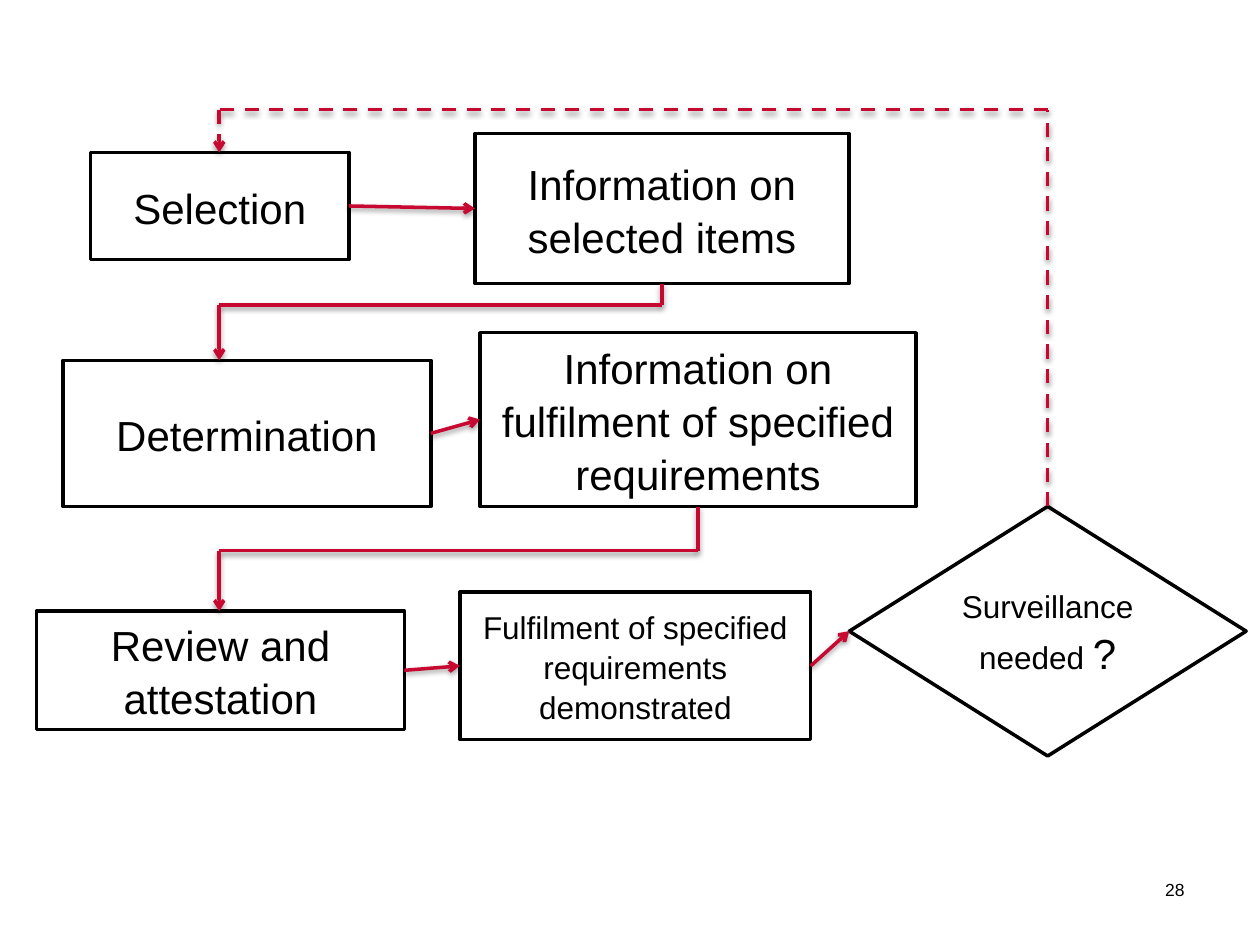
from lxml import etree
from pptx import Presentation
from pptx.dml.color import RGBColor
from pptx.enum.dml import MSO_LINE
from pptx.enum.shapes import MSO_CONNECTOR, MSO_SHAPE
from pptx.enum.text import MSO_ANCHOR, PP_ALIGN
from pptx.oxml.ns import qn
from pptx.util import Pt

RECTANGLE = MSO_SHAPE.RECTANGLE
DECISION = MSO_SHAPE.FLOWCHART_DECISION
STRAIGHT = MSO_CONNECTOR.STRAIGHT
DASH = MSO_LINE.DASH
MIDDLE = MSO_ANCHOR.MIDDLE
CENTER, RIGHT = PP_ALIGN.CENTER, PP_ALIGN.RIGHT

COLORS = {"ink": "000000", "paper": "FFFFFF", "flow": "C70932"}
FONT = "Arial"
LEFT_SITE, RIGHT_SITE = 1, 3
RETURN_X = 125.3

STEPS = {
    "selection": (RECTANGLE, (51.8, 87.1, 147.6, 61.2), [("Selection", 24)]),
    "items": (RECTANGLE, (271.4, 76.3, 213.8, 85.7),
              [("Information on selected items", 24)]),
    "fulfilment": (RECTANGLE, (274.3, 190.1, 249.1, 99.4),
                   [("Information on fulfilment of specified requirements", 24)]),
    "determination": (RECTANGLE, (36, 205.9, 210.2, 83.5), [("Determination", 24)]),
    "review": (RECTANGLE, (20.9, 349.2, 210.2, 67.7), [("Review and attestation", 24)]),
    "demonstrated": (RECTANGLE, (262.8, 338.4, 200.5, 84.2),
                     [("Fulfilment of specified requirements demonstrated", 18)]),
    "surveillance": (DECISION, (485.3, 289.4, 226.8, 142.6),
                     [("Surveillance needed ", 18), ("?", 24)]),
}
LINKS = [
    ("selection", "items"),
    ("determination", "fulfilment"),
    ("review", "demonstrated"),
    ("demonstrated", "surveillance"),
]


def color(name):
    """Return the RGB colour with the given palette name."""
    return RGBColor.from_string(COLORS[name])


def write(frame, runs, align, spacing=1.0):
    """Fill a text frame with one paragraph, run by run."""
    frame.word_wrap = True
    frame.vertical_anchor = MIDDLE
    paragraph = frame.paragraphs[0]
    paragraph.alignment = align
    paragraph.line_spacing = spacing
    for words, size in runs:
        run = paragraph.add_run()
        run.text = words
        run.font.name = FONT
        run.font.size = Pt(size)
        run.font.color.rgb = color("ink")


def add_step(slide, outline, bounds, runs):
    """Add one outlined step of the process."""
    step = slide.shapes.add_shape(outline, *map(Pt, bounds))
    step.shadow.inherit = False
    step.fill.solid()
    step.fill.fore_color.rgb = color("paper")
    step.line.color.rgb = color("ink")
    step.line.width = Pt(2)
    write(step.text_frame, runs, CENTER, 1.05)
    return step


def add_shadow(connector):
    """Give a connector a soft shadow straight below it."""
    effects = etree.SubElement(connector._element.spPr, qn("a:effectLst"))
    shadow = etree.SubElement(
        effects, qn("a:outerShdw"), blurRad=str(Pt(3.1)), dist=str(Pt(1.6)),
        dir="5400000", rotWithShape="0")
    tint = etree.SubElement(shadow, qn("a:srgbClr"), val=COLORS["ink"])
    etree.SubElement(tint, qn("a:alpha"), val="38000")


def add_flow(slide, start, end, arrow=True, dashed=False):
    """Add one straight flow line between two points."""
    flow = slide.shapes.add_connector(STRAIGHT, *map(Pt, (*start, *end)))
    flow.line.color.rgb = color("flow")
    flow.line.width = Pt(2)
    if dashed:
        flow.line.dash_style = DASH
    if arrow:
        etree.SubElement(flow.line._get_or_add_ln(), qn("a:tailEnd"), type="arrow")
    add_shadow(flow)
    return flow


def add_link(slide, source, target):
    """Join the right side of one step to the left side of the next."""
    link = add_flow(slide, (0, 0), (0, 0))
    link.begin_connect(source, RIGHT_SITE)
    link.end_connect(target, LEFT_SITE)


def add_return(slide, start, bend_y, end_y, dashed=False):
    """Lead a flow by two bends back to the left column."""
    x, _ = start
    points = [start, (x, bend_y), (RETURN_X, bend_y), (RETURN_X, end_y)]
    for index in range(3):
        add_flow(slide, points[index], points[index + 1], index == 2, dashed)


def add_page_number(slide, number):
    """Add the page number at the lower right."""
    box = slide.shapes.add_textbox(Pt(633.6), Pt(493.9), Pt(50.4), Pt(28.8))
    write(box.text_frame, [(number, 10)], RIGHT)


def main():
    """Build the process slide and save it."""
    deck = Presentation()
    deck.slide_width, deck.slide_height = Pt(720), Pt(540)
    slide = deck.slides.add_slide(deck.slide_layouts[6])
    add_page_number(slide, "28")
    steps = {name: add_step(slide, *details) for name, details in STEPS.items()}
    for source, target in LINKS:
        add_link(slide, steps[source], steps[target])
    add_return(slide, (378.3, 162), 174.2, 205.9)
    add_return(slide, (398.9, 289.5), 314.6, 349.2)
    add_return(slide, (598.7, 289.4), 62.6, 87.1, dashed=True)
    deck.save("out.pptx")


if __name__ == "__main__":
    main()
